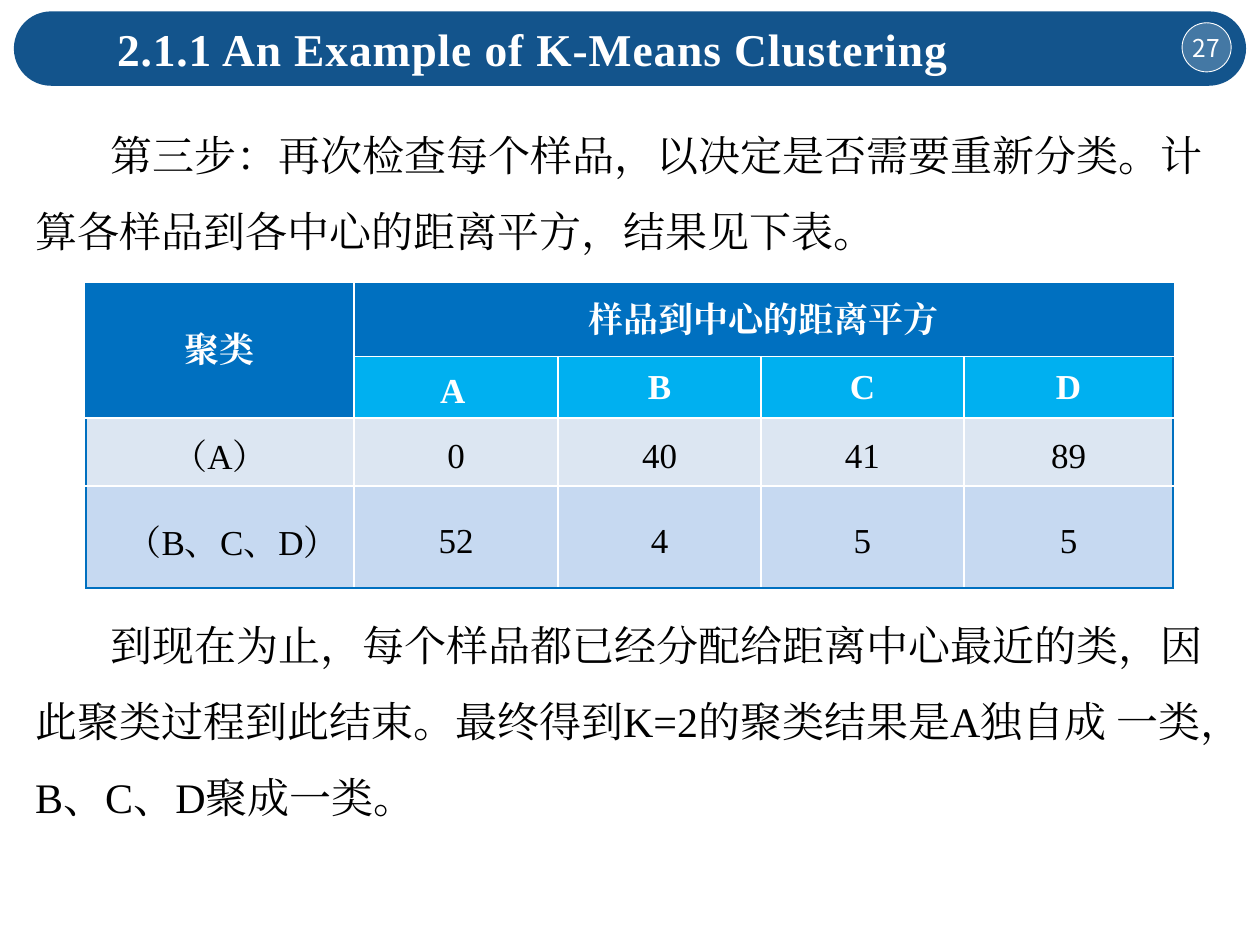
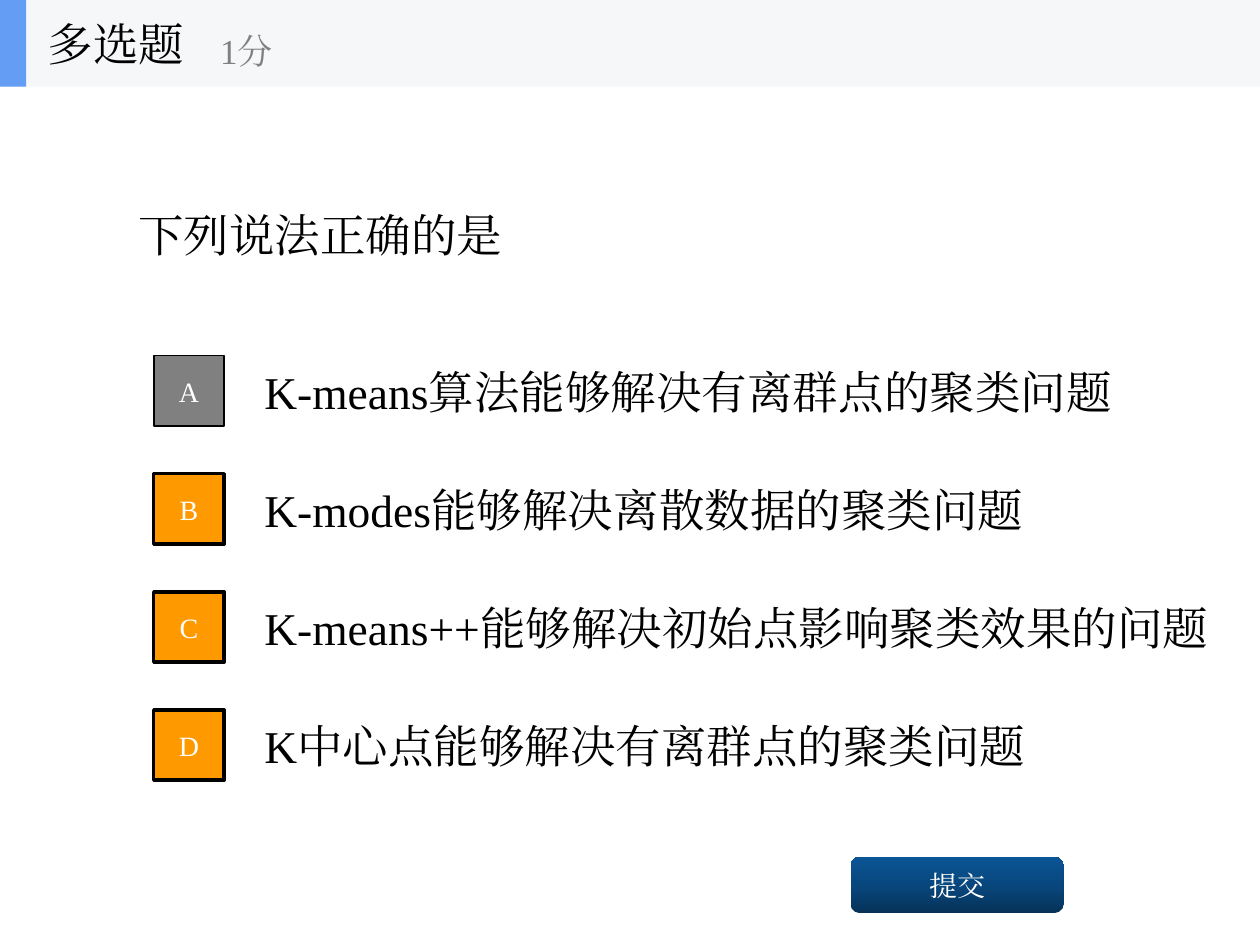
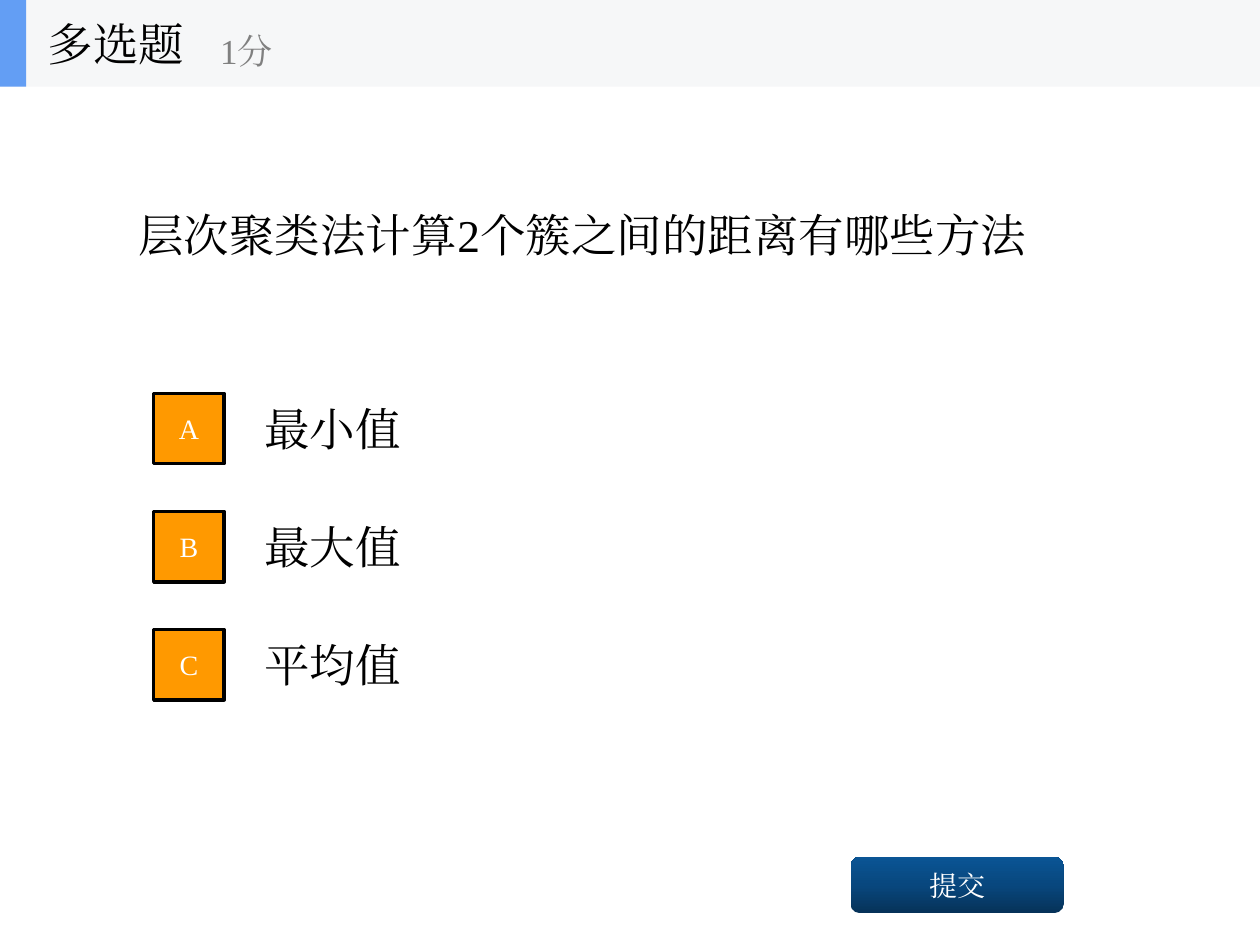
from copy import deepcopy

from lxml.etree import SubElement
from pptx import Presentation
from pptx.dml.color import RGBColor
from pptx.enum.shapes import MSO_SHAPE
from pptx.enum.text import MSO_ANCHOR, PP_ALIGN
from pptx.oxml.ns import qn
from pptx.util import Cm, Pt

SERIF, SANS = "Times New Roman", "Noto Sans CJK SC"
BLACK, WHITE, GRAY = "000000", "FFFFFF", "808080"
NAVY, BLUE, SKY, ORANGE = "13548C", "0070C0", "00B0F0", "FF9900"
PALE, MIST = "DCE6F2", "C6D9F1"
STRIP, MARK = "F6F7F8", "639EF4"
BUTTON = ["063258", "08477E", "0A5595"]
WIDTH, HEAD = 25.4, 1.75
STEP, TILE = 2.38, 1.42


def paint(target, color):
    """Give a fill one solid colour."""
    target.solid()
    target.fore_color.rgb = RGBColor.from_string(color)


def write(para, text, size, color=BLACK, bold=False, face=SERIF):
    """Add one run to a paragraph."""
    run = para.add_run()
    run.text = text
    font = run.font
    font.size, font.bold, font.name = Pt(size), bold, face
    font.color.rgb = RGBColor.from_string(color)
    props = run._r.get_or_add_rPr()
    SubElement(props, qn("a:ea")).set("typeface", face)
    return props


def inset(frame):
    """Remove all four margins of a text frame."""
    frame.margin_left = frame.margin_right = 0
    frame.margin_top = frame.margin_bottom = 0


def shape(slide, kind, box, color, line=None, width=1):
    """Draw a preset shape without shadow."""
    item = slide.shapes.add_shape(kind, *map(Cm, box))
    item.shadow.inherit = False
    paint(item.fill, color)
    if line:
        paint(item.line.fill, line)
        item.line.width = Pt(width)
    else:
        item.line.fill.background()
    return item


def label(item, text, size, face=SERIF):
    """Centre white text in a shape."""
    frame = item.text_frame
    frame.vertical_anchor = MSO_ANCHOR.MIDDLE
    para = frame.paragraphs[0]
    para.alignment = PP_ALIGN.CENTER
    write(para, text, size, WHITE, face=face)


def textbox(slide, box, text, size=26, color=BLACK, anchor=MSO_ANCHOR.MIDDLE, bold=False):
    """Add a wrapped line of text and return its frame and run properties."""
    frame = slide.shapes.add_textbox(*map(Cm, box)).text_frame
    frame.word_wrap = True
    frame.vertical_anchor = anchor
    return frame, write(frame.paragraphs[0], text, size, color, bold)


def banner(slide, title, page):
    """Draw the round title band with its page number."""
    band = shape(slide, MSO_SHAPE.ROUNDED_RECTANGLE, (0.28, 0.23, 24.84, 1.5), NAVY)
    band.adjustments[0] = 0.5
    dot = shape(slide, MSO_SHAPE.OVAL, (23.83, 0.46, 0.99, 0.99), WHITE, WHITE, 0.5)
    tint = dot._element.spPr.find(qn("a:solidFill"))[0]
    SubElement(tint, qn("a:alpha")).set("val", "21000")
    inset(dot.text_frame)
    dot.text_frame.word_wrap = False
    label(dot, page, 14, SANS)
    _, props = textbox(slide, (2.11, 0.3, 18.8, 1.37), title, 26, WHITE, MSO_ANCHOR.TOP, True)
    props.set("spc", "50")


def passage(slide, top, height, text):
    """Add a body paragraph with an indented first line."""
    frame, _ = textbox(slide, (0.71, top, 24, height), text, 24, anchor=MSO_ANCHOR.TOP)
    inset(frame)
    para = frame.paragraphs[0]
    para.line_spacing = 1.5
    para._p.get_or_add_pPr().set("indent", str(Cm(1.51)))


def border(cell, edges):
    """Draw the sides of a cell in the given colours."""
    props = cell._tc.get_or_add_tcPr()
    for side, color in edges.items():
        line = SubElement(props, qn("a:ln" + side), w=str(Pt(1)))
        fill = SubElement(line, qn("a:solidFill"))
        SubElement(fill, qn("a:srgbClr"), val=color)


def grid(slide, rows, fills, widths, heights, leads):
    """Build the distance table with merged heads."""
    box = map(Cm, (1.73, 5.72, sum(widths), sum(heights)))
    table = slide.shapes.add_table(len(rows), len(widths), *box).table
    for col, width in zip(table.columns, widths):
        col.width = Cm(width)
    for row, height in zip(table.rows, heights):
        row.height = Cm(height)
    table.cell(0, 0).merge(table.cell(1, 0))
    table.cell(0, 1).merge(table.cell(0, 4))
    for r, row in enumerate(rows):
        for c, text in enumerate(row):
            cell = table.cell(r, c)
            right = c + cell.span_width == len(widths)
            low = r + cell.span_height == len(rows)
            border(cell, {
                "L": WHITE if c else BLUE,
                "R": BLUE if right else WHITE,
                "T": WHITE if r else BLUE,
                "B": BLUE if low else WHITE,
            })
            paint(cell.fill, fills[r])
            inset(cell)
            cell.vertical_anchor = MSO_ANCHOR.MIDDLE
            if not text:
                continue
            para = cell.text_frame.paragraphs[0]
            para.alignment = PP_ALIGN.CENTER
            if (r, c) in leads:
                para.line_spacing = Pt(leads[r, c])
            if (r, c) == (3, 0):
                para._p.get_or_add_pPr().set("marL", str(Cm(0.51)))
            head = r < 2
            write(para, text, 20, WHITE if head else BLACK, head)


def option(slide, top, letter, text, right=True, width=17.78):
    """Add an answer with its lettered tile."""
    textbox(slide, (5.08, top, width, 1.78), text)
    color, line = (ORANGE, 2) if right else (GRAY, 1)
    box = (3.1, top + 0.18, TILE, TILE)
    label(shape(slide, MSO_SHAPE.RECTANGLE, box, color, BLACK, line), letter, 16)


def button(slide):
    """Draw the submit button with its gradient."""
    item = shape(slide, MSO_SHAPE.ROUNDED_RECTANGLE, (17.15, 17.27, 4.29, 1.14), NAVY)
    item.fill.gradient()
    item.fill.gradient_angle = 90
    stops = item._element.spPr.find(qn("a:gradFill")).find(qn("a:gsLst"))
    stops.append(deepcopy(stops[-1]))
    for n, (stop, color) in enumerate(zip(item.fill.gradient_stops, BUTTON)):
        stop.position = n / 2
        stop.color.rgb = RGBColor.from_string(color)
    label(item, "提交", 16)


def quiz(slide, ask, top, answers):
    """Lay out a question with its answers, button and header."""
    textbox(slide, (2.54, HEAD, 20.32, 5.94), ask)
    for n, (letter, answer) in enumerate(zip("ABCD", answers)):
        option(slide, top + n * STEP, letter, *answer)
    button(slide)
    shape(slide, MSO_SHAPE.RECTANGLE, (0, 0, WIDTH, HEAD), STRIP)
    shape(slide, MSO_SHAPE.RECTANGLE, (0, 0, 0.53, HEAD), MARK)
    textbox(slide, (0.71, 0, 5.28, HEAD), "多选题")
    textbox(slide, (4.19, 0.3, 6.35, 1.42), "1分", 20, GRAY)


def main():
    """Build and save the three slides."""
    deck = Presentation()
    deck.slide_width, deck.slide_height = Cm(WIDTH), Cm(19.05)
    first, second, third = [deck.slides.add_slide(deck.slide_layouts[6]) for _ in range(3)]

    banner(first, "2.1.1 An Example of K-Means Clustering", "27")
    passage(first, 2.11, 2.9, "第三步：再次检查每个样品，以决定是否需要重新分类。计算各样品到各中心的距离平方，结果见下表。")
    passage(first, 11.99, 4.45, "到现在为止，每个样品都已经分配给距离中心最近的类，因此聚类过程到此结束。最终得到K=2的聚类结果是A独自成 一类，B、C、D聚成一类。")
    rows = [
        ["聚类", "样品到中心的距离平方", "", "", ""],
        ["", "A ", "B", "C", "D"],
        ["（A）", "0", "40", "41", "89"],
        ["（B、C、D）", "52", "4", "5", "5"],
    ]
    leads = {(1, 1): 27.1, (2, 0): 28.9, (3, 0): 29.1}
    for c in range(1, 5):
        leads.update({(2, c): 27.1, (3, c): 27.5})
    widths, heights = [5.41, 4.11, 4.09, 4.09, 4.22], [1.47, 1.24, 1.37, 1.45]
    grid(first, rows, [BLUE, SKY, PALE, MIST], widths, heights, leads)

    quiz(second, "下列说法正确的是", 6.99, [
        ("K-means算法能够解决有离群点的聚类问题", False, 18.62),
        ("K-modes能够解决离散数据的聚类问题",),
        ("K-means++能够解决初始点影响聚类效果的问题", True, 20.32),
        ("K中心点能够解决有离群点的聚类问题",),
    ])
    quiz(third, "层次聚类法计算2个簇之间的距离有哪些方法", 7.75, [("最小值",), ("最大值",), ("平均值",)])
    deck.save("out.pptx")


if __name__ == "__main__":
    main()
